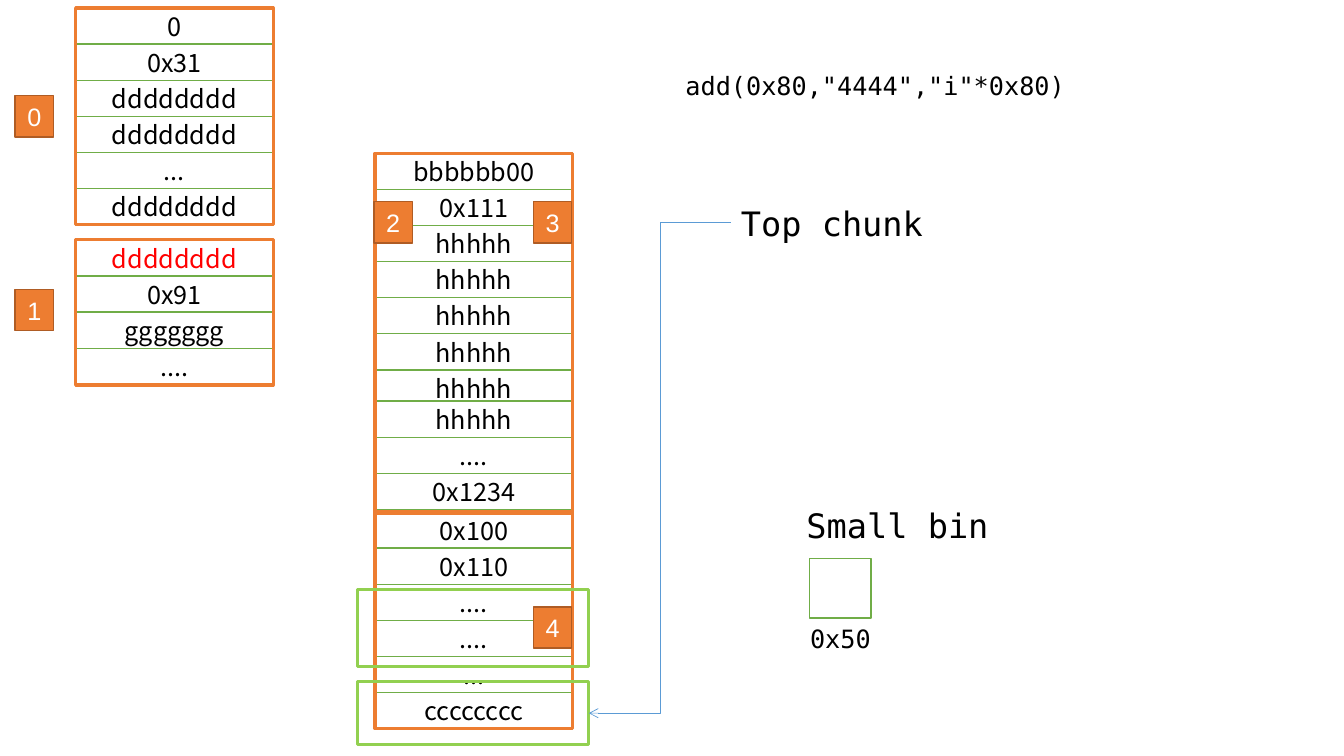
import pptx
import pptx.util
import pptx.dml.color
import pptx.enum.shapes
import pptx.enum.text
from lxml import etree
from pptx.util import Inches

COLORS = {
    "white": "FFFFFF", "black": "000000", "red": "FF0000",
    "orange": "ED7D31", "rust": "AF5C24", "green": "70AD47",
    "lime": "92D050", "blue": "5B9BD5",
}
MONO = "DejaVu Sans Mono"
CENTER = pptx.enum.text.PP_ALIGN.CENTER
LEFT = pptx.enum.text.PP_ALIGN.LEFT
ROW_HEIGHT = 0.36
ROW_PITCH = 2.15 / 6
CHUNK_WIDTH = 1.96


def write(box, text, font, size, color, align=CENTER):
    frame = box.text_frame
    frame.word_wrap = True
    para = frame.paragraphs[0]
    para.text = text
    para.alignment = align
    para.font.name = font
    para.font.size = pptx.util.Pt(size)
    para.font.color.rgb = pptx.dml.color.RGBColor.from_string(COLORS[color])


def add_box(shapes, left, top, width, height, line, weight=1, fill=None):
    box = shapes.add_shape(
        pptx.enum.shapes.MSO_SHAPE.RECTANGLE,
        Inches(left), Inches(top), Inches(width), Inches(height))
    box.shadow.inherit = False
    if fill:
        box.fill.solid()
        box.fill.fore_color.rgb = pptx.dml.color.RGBColor.from_string(COLORS[fill])
    else:
        box.fill.background()
    box.line.color.rgb = pptx.dml.color.RGBColor.from_string(COLORS[line])
    box.line.width = pptx.util.Pt(weight)
    box.text_frame.vertical_anchor = pptx.enum.text.MSO_ANCHOR.MIDDLE
    return box


deck = pptx.Presentation()
deck.slide_width = Inches(13.33)
deck.slide_height = Inches(7.5)
page = deck.slides.add_slide(deck.slide_layouts[6])

chunks = [
    (0.75, 0.08, 2.15, [(0.08, ["0", "0x31", "dddddddd", "dddddddd", "...", "dddddddd"])]),
    (0.75, 2.38, 1.44, [(2.38, ["dddddddd", "0x91", "ggggggg", "...."])]),
    (3.72, 5.08, 2.15, [(5.08, ["0x100", "0x110", "....", "....", "...", "cccccccc"])]),
    (3.72, 1.52, 3.57, [(1.52, ["bbbbbb00", "0x111"] + ["hhhhh"] * 5),
                        (3.98, ["hhhhh", "....", "0x1234"])]),
]
for left, top, height, blocks in chunks:
    chunk = page.shapes.add_group_shape()
    for block_top, words in blocks:
        for index, word in enumerate(words):
            row = add_box(chunk.shapes, left, block_top + index * ROW_PITCH,
                          CHUNK_WIDTH, ROW_HEIGHT, "green", fill="white")
            overwritten = top == 2.38 and index == 0
            write(row, word, "Noto Sans CJK SC", 18, "red" if overwritten else "black")
    add_box(chunk.shapes, left, top, CHUNK_WIDTH, height, "orange", 2.25)

add_box(page.shapes, 8.03, 5.54, 0.61, 0.59, "green", fill="white")
top_chunk = add_box(page.shapes, 3.55, 6.76, 2.29, 0.63, "lime", 2.25)
add_box(page.shapes, 3.55, 5.85, 2.29, 0.76, "lime", 2.25)

labels = {}
for text, left, top, width, height, size, align in [
    ("Small bin", 7.9, 4.96, 3.66, 0.5, 24, LEFT),
    ("0x50", 7.77, 6.13, 1.13, 0.4, 18, CENTER),
    ("Top chunk", 7.25, 1.96, 2.64, 0.5, 24, LEFT),
    ('add(0x80,"4444","i"*0x80)', 6.7, 0.65, 6.06, 0.4, 18, LEFT),
]:
    labels[text] = page.shapes.add_textbox(
        Inches(left), Inches(top), Inches(width), Inches(height))
    write(labels[text], text, MONO, size, "black", align)

badges = [(0.15, 0.95), (0.15, 2.87), (3.71, 2), (5.29, 2), (5.29, 6.02)]
for number, (left, top) in enumerate(badges):
    badge = add_box(page.shapes, left, top, 0.38, 0.41, "rust", fill="orange")
    write(badge, str(number), "Arial", 18, "white")

arrow = page.shapes.add_connector(
    pptx.enum.shapes.MSO_CONNECTOR.ELBOW,
    Inches(7.25), Inches(2.21), Inches(5.84), Inches(7.07))
arrow.begin_connect(labels["Top chunk"], 1)
arrow.end_connect(top_chunk, 3)
arrow.line.color.rgb = pptx.dml.color.RGBColor.from_string(COLORS["blue"])
arrow.line.width = pptx.util.Pt(0.5)
namespace = "{http://schemas.openxmlformats.org/drawingml/2006/main}"
properties = arrow.line._get_or_add_ln()
etree.SubElement(properties, namespace + "tailEnd", type="arrow")
etree.SubElement(properties.getparent(), namespace + "effectLst")

deck.save("out.pptx")
